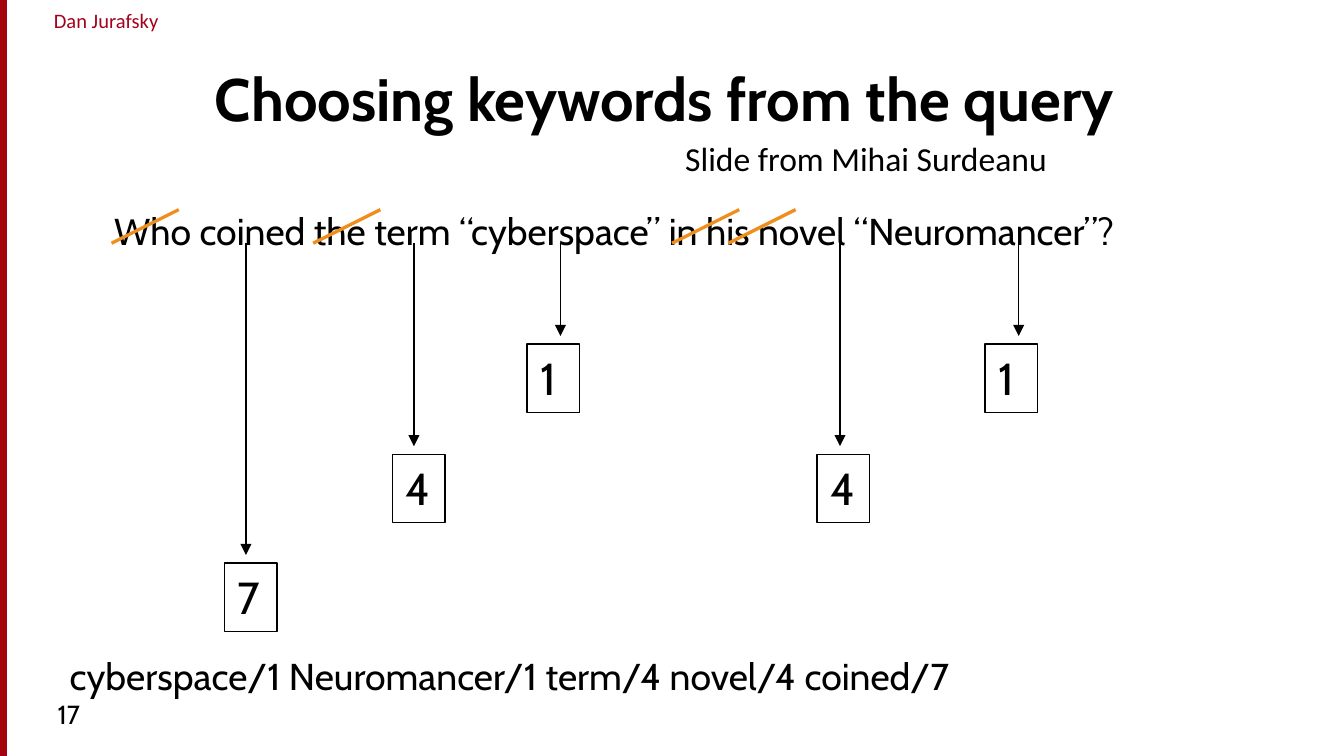
"""Build a slide that ranks the keywords chosen from a question."""
from lxml import etree
from pptx import Presentation
from pptx.dml.color import RGBColor
from pptx.enum import shapes, text
from pptx.oxml import ns
from pptx.util import Inches, Pt

SLIDE_WIDTH = 10
SLIDE_HEIGHT = SLIDE_WIDTH * 9 / 16
BLACK, RED, DARK_RED, ORANGE = "000000", "A4001D", "A40508", "EF8E1C"
TEXTS = [
    ("Dan Jurafsky", (0.08, 0.01, 1.42, 0.29),
     dict(size=11, font="Calibri", color=RED, align=text.PP_ALIGN.CENTER, side=0)),
    ("Choosing keywords from the query", (1.5, 0.23, 8.17, 0.81),
     dict(size=32, bold=True, anchor=text.MSO_ANCHOR.BOTTOM)),
    ("17", (0.33, 5.15, 2.17, 0.38), dict(size=14)),
    ("Who coined the term “cyberspace” in his novel “Neuromancer”?",
     (0.75, 1.5, 8.09, 0.44), dict(wrap=False)),
    ("cyberspace/1 Neuromancer/1 term/4 novel/4 coined/7",
     (0.42, 4.81, 6.87, 0.44), dict(wrap=False)),
    ("Slide from Mihai Surdeanu", (5, 0.98, 2.93, 0.4),
     dict(size=18, font="Calibri", wrap=False)),
]
STRIKE_LEFTS = [0.83, 2.33, 5, 5.42]
ROW_TOPS = [2.56, 3.38, 4.19]
KEYWORDS = [
    dict(rank="1", row=0, arrow_x=4.17, box_left=3.92),
    dict(rank="1", row=0, arrow_x=7.58, box_left=7.33),
    dict(rank="4", row=1, arrow_x=3.08, box_left=2.92),
    dict(rank="4", row=1, arrow_x=6.25, box_left=6.08),
    dict(rank="7", row=2, arrow_x=1.83, box_left=1.67),
]
WORD_BOTTOM, STRIKE_WIDTH, STRIKE_HEIGHT = 1.81, 0.5, 0.25
ARROW_GAP, BOX_WIDTH, BOX_HEIGHT = 0.06, 0.39, 0.51


def rgb(value):
    """Return the colour for a hex string."""
    return RGBColor.from_string(value)


def write(shape, words, size=20, font="Cabin", color=BLACK, bold=False, wrap=True,
          align=text.PP_ALIGN.LEFT, anchor=text.MSO_ANCHOR.TOP, side=0.1):
    """Put formatted text into a shape."""
    frame = shape.text_frame
    frame.word_wrap = wrap
    frame.vertical_anchor = anchor
    frame.margin_left = frame.margin_right = Inches(side)
    paragraph = frame.paragraphs[0]
    paragraph.alignment = align
    run = paragraph.add_run()
    run.text = words
    run.font.size, run.font.name, run.font.bold = Pt(size), font, bold
    run.font.color.rgb = rgb(color)


def add_rectangle(slide, place, line, fill=None):
    """Add an outlined rectangle, filled if a colour is given."""
    shape = slide.shapes.add_shape(shapes.MSO_SHAPE.RECTANGLE, *map(Inches, place))
    shape.shadow.inherit = False
    if fill:
        shape.fill.solid()
        shape.fill.fore_color.rgb = rgb(fill)
    else:
        shape.fill.background()
    shape.line.color.rgb = rgb(line)
    shape.line.width = Pt(0.75)
    return shape


def add_line(slide, start, end, color, width, arrow=False):
    """Add a straight line, with an arrowhead at its end if asked."""
    connector = slide.shapes.add_connector(
        shapes.MSO_CONNECTOR.STRAIGHT, *map(Inches, (*start, *end)))
    connector.line.color.rgb = rgb(color)
    connector.line.width = Pt(width)
    if arrow:
        etree.SubElement(connector.get_or_add_ln(), ns.qn("a:tailEnd"), type="triangle")
    etree.SubElement(connector.element.spPr, ns.qn("a:effectLst"))


def add_keyword(slide, rank, row, arrow_x, box_left):
    """Add the arrow from a word and the box with its rank."""
    top = ROW_TOPS[row]
    add_line(slide, (arrow_x, WORD_BOTTOM), (arrow_x, top - ARROW_GAP), BLACK, 0.75, arrow=True)
    box = add_rectangle(slide, (box_left, top, BOX_WIDTH, BOX_HEIGHT), BLACK)
    write(box, rank, size=24, wrap=False)


def main():
    """Create and save the presentation."""
    presentation = Presentation()
    presentation.slide_width = Inches(SLIDE_WIDTH)
    presentation.slide_height = Inches(SLIDE_HEIGHT)
    slide = presentation.slides.add_slide(presentation.slide_layouts[6])

    add_rectangle(slide, (0, 0, 0.05, SLIDE_HEIGHT), RED, DARK_RED)
    for words, place, style in TEXTS:
        write(slide.shapes.add_textbox(*map(Inches, place)), words, **style)
    for left in STRIKE_LEFTS:
        add_line(slide, (left, WORD_BOTTOM),
                 (left + STRIKE_WIDTH, WORD_BOTTOM - STRIKE_HEIGHT), ORANGE, 1.75)
    for keyword in KEYWORDS:
        add_keyword(slide, **keyword)

    presentation.save("out.pptx")


if __name__ == "__main__":
    main()
